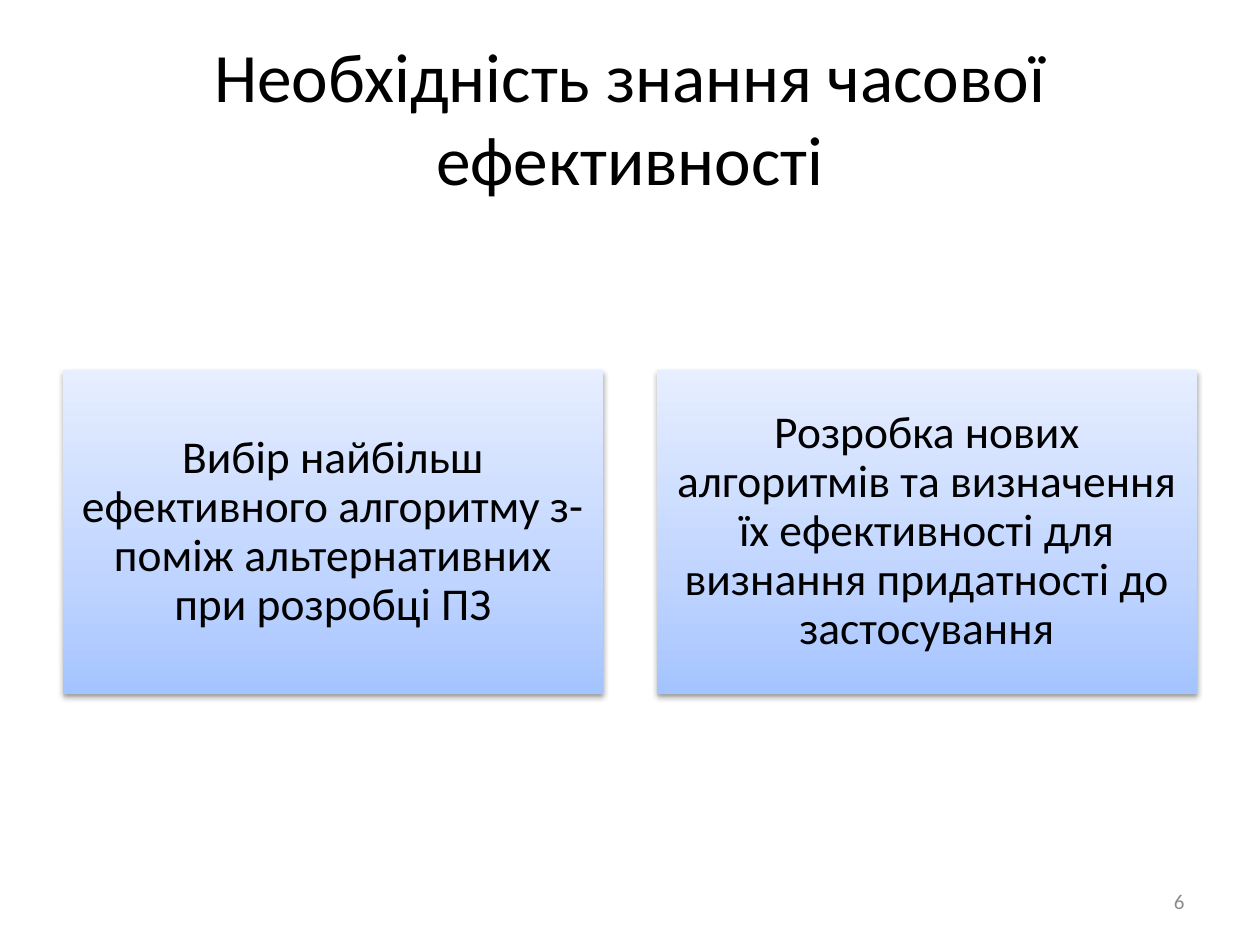
from copy import deepcopy

from lxml import etree
from pptx import Presentation
from pptx.dml.color import RGBColor
from pptx.enum.shapes import MSO_SHAPE
from pptx.enum.text import MSO_ANCHOR, MSO_AUTO_SIZE, PP_ALIGN
from pptx.oxml.ns import qn
from pptx.util import Pt

RECTANGLE = MSO_SHAPE.RECTANGLE
MIDDLE = MSO_ANCHOR.MIDDLE
CENTER, RIGHT = PP_ALIGN.CENTER, PP_ALIGN.RIGHT
NO_AUTOFIT = MSO_AUTO_SIZE.NONE
PX = 914400 // 126


def color(value):
    return RGBColor.from_string(value)


def write(shape, text, size, text_color, alignment):
    frame = shape.text_frame
    frame.word_wrap = True
    frame.auto_size = NO_AUTOFIT
    frame.vertical_anchor = MIDDLE
    frame.text = text
    paragraph = frame.paragraphs[0]
    paragraph.alignment = alignment
    paragraph.font.name = "Calibri"
    paragraph.font.size = Pt(size)
    paragraph.font.color.rgb = color(text_color)
    return frame


presentation = Presentation()
presentation.slide_width = 1260 * PX
presentation.slide_height = 945 * PX
slide = presentation.slides.add_slide(presentation.slide_layouts[5])

# Title
title = slide.shapes.title
title.left, title.top, title.width, title.height = 63 * PX, 38 * PX, 1134 * PX, 157 * PX
write(title, "Необхідність знання часової ефективності", 39.6, "000000", CENTER)

# Two reason cards, filled from dark at the bottom to light at the top
CARD_LEFT, CARD_TOP, CARD_WIDTH, CARD_HEIGHT, CARD_GAP = 63, 370, 540, 324, 54
GRADIENT = [(0, "A4C4FF"), (0.35, "BFD4FF"), (1, "E6EEFF")]
reasons = [
    "Вибір найбільш ефективного алгоритму з-поміж альтернативних при розробці ПЗ",
    "Розробка нових алгоритмів та визначення їх ефективності для визнання придатності до застосування",
]
for index, reason in enumerate(reasons):
    left = CARD_LEFT + index * (CARD_WIDTH + CARD_GAP)
    card = slide.shapes.add_shape(
        RECTANGLE, left * PX, CARD_TOP * PX, CARD_WIDTH * PX, CARD_HEIGHT * PX)
    card.line.fill.background()

    # Three-stop gradient
    card.fill.gradient()
    card.fill.gradient_angle = 90
    properties = card._element.spPr
    stop_list = properties.find(".//" + qn("a:gsLst"))
    stop_list.append(deepcopy(stop_list[-1]))
    for stop, (position, stop_color) in zip(card.fill.gradient_stops, GRADIENT):
        stop.position = position
        stop.color.rgb = color(stop_color)

    # Soft shadow below the card
    card.shadow.inherit = False
    shadow = etree.SubElement(
        properties.find(qn("a:effectLst")), qn("a:outerShdw"),
        blurRad="40000", dist="20000", dir="5400000", rotWithShape="0")
    shadow_color = etree.SubElement(shadow, qn("a:srgbClr"), val="000000")
    etree.SubElement(shadow_color, qn("a:alpha"), val="38000")

    frame = write(card, reason, 26, "000000", CENTER)
    frame.paragraphs[0].line_spacing = 0.9
    frame.margin_left = frame.margin_right = 14 * PX
    frame.margin_top = frame.margin_bottom = 14 * PX

# Slide number
number = slide.shapes.add_textbox(903 * PX, 876 * PX, 294 * PX, 50 * PX)
write(number, "6", 12, "8C8C8C", RIGHT)

presentation.save("out.pptx")
